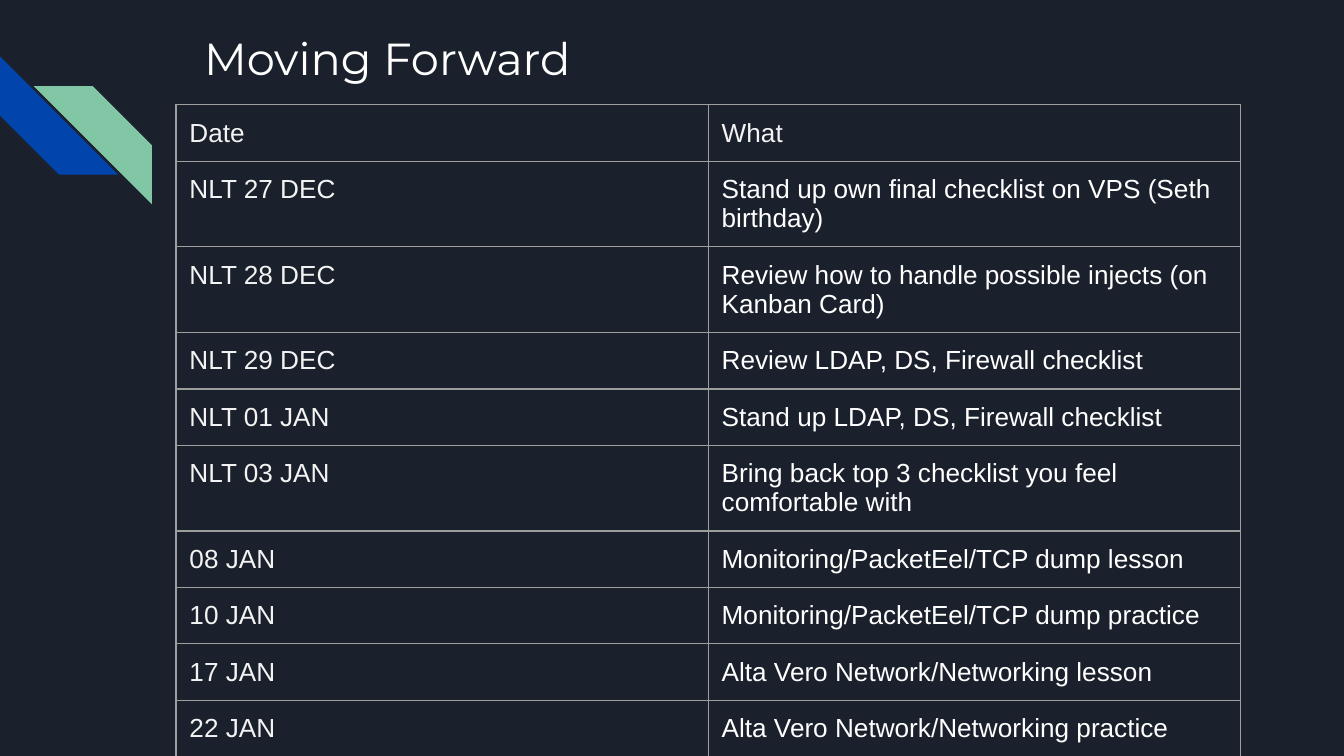
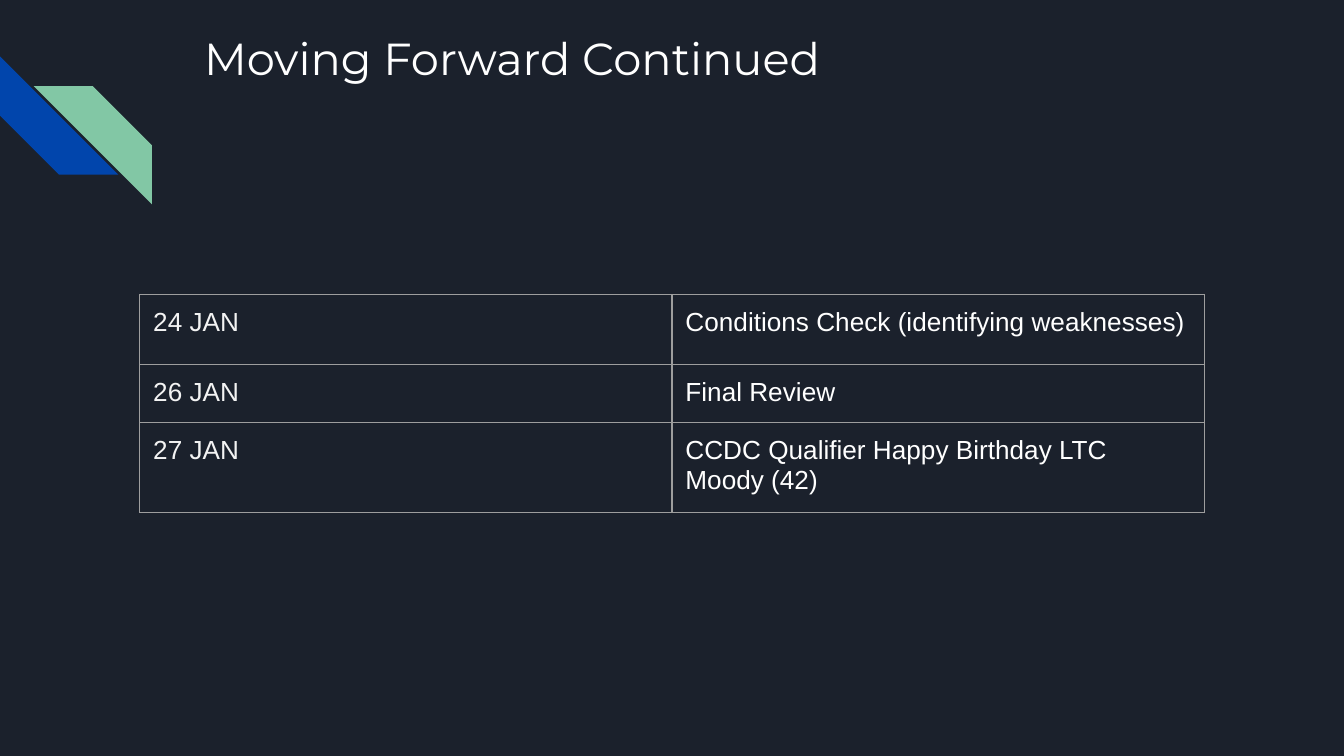
from dataclasses import dataclass

from lxml import etree
from pptx import Presentation
from pptx.dml.color import RGBColor
from pptx.enum import shapes
from pptx.oxml import ns
from pptx.util import Inches, Pt

NIGHT = "1B212C"
BLUE = "0145AC"
GREEN = "82C7A5"
WHITE = "FFFFFF"
PALE = "F3F3F3"
GRID = "9E9E9E"
PADDING = Inches(0.1)
COLUMN_WIDTH = Inches(3.96)
FRAME_SIDE = Inches(3.28)
ROW_HEIGHT = 0.42


@dataclass(frozen=True)
class Stripe:
    left: float
    top: float
    rotation: int
    color: str


@dataclass(frozen=True)
class Event:
    date: str
    what: str
    what_color: str = WHITE
    height: float = ROW_HEIGHT


@dataclass(frozen=True)
class Schedule:
    title: str
    left: float
    top: float
    events: tuple[Event, ...]


STRIPES = (Stripe(0, 0.42, 270, BLUE), Stripe(0.25, 0.64, 90, GREEN))

SCHEDULES = (
    Schedule("Moving Forward", 1.31, 0.78, (
        Event("Date", "What", PALE),
        Event("NLT 27 DEC", "Stand up own final checklist on VPS (Seth birthday)"),
        Event("NLT 28 DEC", "Review how to handle possible injects (on Kanban Card)"),
        Event("NLT 29 DEC", "Review LDAP, DS, Firewall checklist"),
        Event("NLT 01 JAN", "Stand up LDAP, DS, Firewall checklist"),
        Event("NLT 03 JAN", "Bring back top 3 checklist you feel comfortable with"),
        Event("08 JAN", "Monitoring/PacketEel/TCP dump lesson"),
        Event("10 JAN", "Monitoring/PacketEel/TCP dump practice"),
        Event("17 JAN", "Alta Vero Network/Networking lesson"),
        Event("22 JAN", "Alta Vero Network/Networking practice"),
    )),
    Schedule("Moving Forward Continued", 1.04, 2.19, (
        Event("24 JAN", "Conditions Check (identifying weaknesses)", height=0.52),
        Event("26 JAN", "Final Review"),
        Event("27 JAN", "CCDC Qualifier Happy Birthday LTC Moody (42)"),
    )),
)


def paint(fill, color: str) -> None:
    fill.solid()
    fill.fore_color.rgb = RGBColor.from_string(color)


def write(frame, words: str, *, font: str, size: float, color: str) -> None:
    frame.word_wrap = True
    run = frame.paragraphs[0].add_run()
    run.text = words
    run.font.name = font
    run.font.size = Pt(size)
    run.font.color.rgb = RGBColor.from_string(color)


def pad(holder) -> None:
    holder.margin_left = holder.margin_right = PADDING
    holder.margin_top = holder.margin_bottom = PADDING


def draw_stripe(slide, stripe: Stripe) -> None:
    band = slide.shapes.add_shape(
        shapes.MSO_SHAPE.DIAGONAL_STRIPE,
        Inches(stripe.left), Inches(stripe.top), Inches(0.88), Inches(0.88))
    band.adjustments[0] = 0.5
    band.rotation = stripe.rotation
    band.shadow.inherit = False
    paint(band.fill, stripe.color)
    band.line.fill.background()


def draw_title(slide, title: str) -> None:
    heading = slide.shapes.add_textbox(
        Inches(1.42), Inches(0.13), Inches(7.7), Inches(1)).text_frame
    pad(heading)
    write(heading, title, font="Montserrat", size=24, color=WHITE)


def outline(cell) -> None:
    properties = cell._tc.get_or_add_tcPr()
    for side in ("lnL", "lnR", "lnT", "lnB"):
        border = etree.SubElement(properties, ns.qn(f"a:{side}"), w=str(Pt(0.75)))
        solid = etree.SubElement(border, ns.qn("a:solidFill"))
        etree.SubElement(solid, ns.qn("a:srgbClr"), val=GRID)


def fill_cell(cell, words: str, color: str) -> None:
    outline(cell)
    cell.fill.background()
    pad(cell)
    write(cell.text_frame, words, font="Arial", size=14, color=color)


def draw_schedule(slide, schedule: Schedule) -> None:
    events = schedule.events
    holder = slide.shapes.add_table(
        len(events), 2, Inches(schedule.left), Inches(schedule.top),
        FRAME_SIDE, FRAME_SIDE)
    table = holder.table
    table.first_row = False
    table.horz_banding = False
    for column in table.columns:
        column.width = COLUMN_WIDTH
    for row, event in zip(table.rows, events):
        row.height = Inches(event.height)
        fill_cell(row.cells[0], event.date, PALE)
        fill_cell(row.cells[1], event.what, event.what_color)
    holder.width = holder.height = FRAME_SIDE


def main() -> None:
    deck = Presentation()
    deck.slide_width = Inches(10)
    deck.slide_height = deck.slide_width * 9 // 16
    paint(deck.slide_master.background.fill, NIGHT)
    for schedule in SCHEDULES:
        slide = deck.slides.add_slide(deck.slide_layouts[6])
        for stripe in STRIPES:
            draw_stripe(slide, stripe)
        draw_schedule(slide, schedule)
        draw_title(slide, schedule.title)
    deck.save("out.pptx")


if __name__ == "__main__":
    main()
